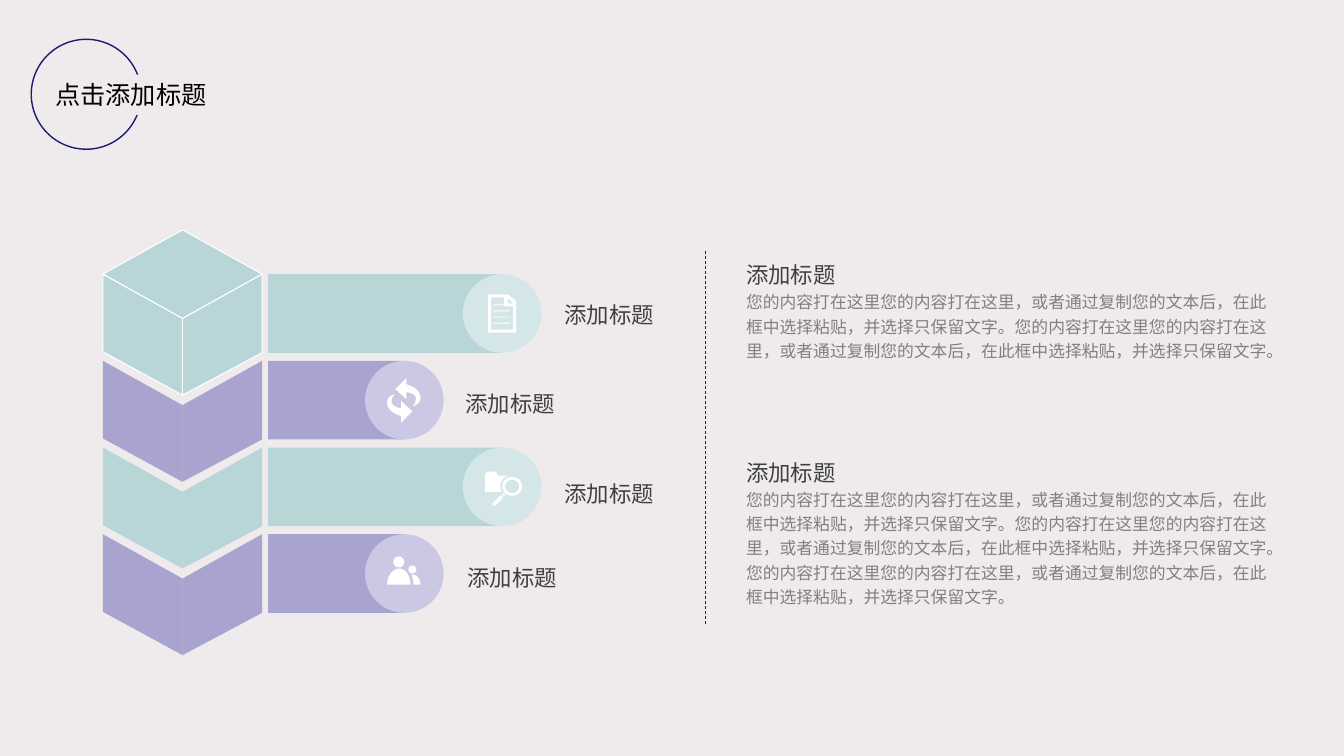
from dataclasses import dataclass

from lxml import etree
from pptx import Presentation
from pptx.dml.color import RGBColor
from pptx.enum.dml import MSO_LINE
from pptx.enum.shapes import MSO_CONNECTOR, MSO_SHAPE
from pptx.enum.text import MSO_ANCHOR, MSO_AUTO_SIZE, PP_ALIGN
from pptx.oxml.ns import qn
from pptx.util import Inches, Pt

STRAIGHT = MSO_CONNECTOR.STRAIGHT
DASH = MSO_LINE.DASH
RECTANGLE, OVAL, DONUT = MSO_SHAPE.RECTANGLE, MSO_SHAPE.OVAL, MSO_SHAPE.DONUT
TOP, MIDDLE = MSO_ANCHOR.TOP, MSO_ANCHOR.MIDDLE
LEFT = PP_ALIGN.LEFT
FIT_SHAPE = MSO_AUTO_SIZE.SHAPE_TO_FIT_TEXT

HEADING = "添加标题"
SENTENCE = "您的内容打在这里您的内容打在这里，或者通过复制您的文本后，在此框中选择粘贴，并选择只保留文字。"


@dataclass(frozen=True)
class Theme:
    """Colours and type sizes of the slide."""
    font: str = "Noto Sans CJK SC"
    background: str = "EFEBEC"
    ring: str = "1C1C73"
    title: str = "000000"
    heading: str = "404040"
    body: str = "808080"
    divider: str = "20202E"
    white: str = "FFFFFF"
    teal: str = "B8D5D7"
    teal_light: str = "D4E6E7"
    purple: str = "A9A3D0"
    purple_light: str = "CBC8E3"
    title_size: int = 18
    heading_size: int = 16
    body_size: int = 12


def cubic(start, curve, steps=10):
    """Return points along a cubic curve after its start."""
    (x0, y0), (x1, y1, x2, y2, x3, y3) = start, curve
    points = []
    for step in range(1, steps + 1):
        t = step / steps
        weights = ((1 - t) ** 3, 3 * t * (1 - t) ** 2, 3 * t * t * (1 - t), t ** 3)
        points.append((sum(w * x for w, x in zip(weights, (x0, x1, x2, x3))),
                       sum(w * y for w, y in zip(weights, (y0, y1, y2, y3)))))
    return points


def flatten(contour):
    """Turn a contour of points and cubic curves into plain points."""
    points = []
    for item in contour:
        points.extend([item] if len(item) == 2 else cubic(points[-1], item))
    return points


class SlideBuilder:
    """Draw styled elements on the current slide."""

    def __init__(self, slide, theme):
        self.slide = slide
        self.theme = theme
        self.slide.background.fill.solid()
        self.slide.background.fill.fore_color.rgb = RGBColor.from_string(theme.background)

    def paint(self, shape, fill=None, line=None, width=0.75):
        """Set the fill and outline of a shape."""
        shape.shadow.inherit = False
        for target, color in ((shape.fill, fill), (shape.line.fill, line)):
            if color:
                target.solid()
                target.fore_color.rgb = RGBColor.from_string(color)
            else:
                target.background()
        if line:
            shape.line.width = Pt(width)
        return shape

    def shape(self, kind, box, **paint):
        """Add a preset shape."""
        shape = self.slide.shapes.add_shape(kind, *map(Inches, box))
        return self.paint(shape, **paint)

    def outline(self, *contours, **paint):
        """Add a freeform made of closed contours."""
        contours = [[(Inches(x), Inches(y)) for x, y in flatten(contour)] for contour in contours]
        builder = self.slide.shapes.build_freeform(*contours[0][0], scale=1.0)
        for index, points in enumerate(contours):
            if index:
                builder.move_to(*points[0])
            builder.add_line_segments(points[1:], close=True)
        return self.paint(builder.convert_to_shape(), **paint)

    def fill_text(self, shape, lines, spacing=1.2, **frame_format):
        """Fill a shape with (text, size, color) paragraphs."""
        frame = shape.text_frame
        frame_format = {"word_wrap": False, "auto_size": FIT_SHAPE,
                        "vertical_anchor": TOP, **frame_format}
        for name, value in frame_format.items():
            setattr(frame, name, value)
        for index, (text, size, color) in enumerate(lines):
            paragraph = frame.add_paragraph() if index else frame.paragraphs[0]
            paragraph.line_spacing = spacing
            paragraph.alignment = LEFT
            run = paragraph.add_run()
            run.text = text
            for name, value in {"name": self.theme.font, "size": Pt(size)}.items():
                setattr(run.font, name, value)
            run.font.color.rgb = RGBColor.from_string(color)
            properties = run._r.get_or_add_rPr()
            etree.SubElement(properties, qn("a:ea")).set("typeface", self.theme.font)

    def text(self, box, lines, **frame_format):
        """Add a text box."""
        self.fill_text(self.slide.shapes.add_textbox(*map(Inches, box)), lines, **frame_format)

    def divider(self, start, end):
        """Add a dashed line."""
        line = self.slide.shapes.add_connector(STRAIGHT, *map(Inches, (*start, *end)))
        line.line.color.rgb = RGBColor.from_string(self.theme.divider)
        line.line.width = Pt(0.5)
        line.line.dash_style = DASH
        etree.SubElement(line._element.spPr, qn("a:effectLst"))

    def cube_faces(self, top, color, line=None):
        """Add the left and right faces of one cube layer."""
        for edge, drop in ((1.02, 0.77), (2.6, 0.78)):
            self.outline([(edge, top), (edge, top + drop), (1.81, top + 1.2),
                          (1.81, top + 0.44)], fill=color, line=line)

    def bar(self, top, disc_left, color, light):
        """Add a bar that ends in a disc."""
        size = 0.78
        self.shape(RECTANGLE, (2.66, top, disc_left + size / 2 - 2.66, size), fill=color)
        self.shape(OVAL, (disc_left, top, size, size), fill=light)

    def document_icon(self):
        """Add the page with text lines."""
        white = self.theme.white
        self.outline([(5.12, 2.99), (5.04, 2.92), (4.84, 2.92), (4.84, 3.3), (5.12, 3.3)],
                     [(5.09, 3.01), (5.04, 3.01), (5.04, 2.96)],
                     [(5.09, 3.27), (4.87, 3.27), (4.87, 2.95), (5, 2.95), (5, 3.04), (5.09, 3.04)],
                     fill=white)
        for row in range(4):
            self.shape(RECTANGLE, (4.89, 3.02 + row * 0.06, 0.17, 0.01), fill=white)

    def refresh_icon(self):
        """Add two arrows, the second turned half round."""
        arrow = flatten([(4.05, 3.82), (4.03, 3.81), (4.03, 3.75), (3.92, 3.86), (4.03, 3.96),
                         (4.03, 3.89), (4.11, 3.9, 4.14, 3.94, 4.12, 3.98),
                         (4.12, 4, 4.11, 4.01, 4.09, 4.03), (4.13, 4.02, 4.16, 4, 4.17, 3.96),
                         (4.18, 3.91, 4.13, 3.84, 4.05, 3.82)])
        for points in (arrow, [(8.01 - x, 7.94 - y) for x, y in arrow]):
            self.outline(points, fill=self.theme.white)

    def search_icon(self):
        """Add the folder and magnifier."""
        white = self.theme.white
        self.outline([(5, 4.74), (5.01, 4.73, 5.02, 4.73, 5.04, 4.72), (4.94, 4.72), (4.92, 4.68),
                      (4.86, 4.68), (4.83, 4.68, 4.81, 4.69, 4.81, 4.73), (4.81, 4.88),
                      (4.98, 4.88), (4.95, 4.83, 4.96, 4.78, 5, 4.74)], fill=white)
        lens = self.shape(DONUT, (4.98, 4.73, 0.2, 0.19), fill=white)
        lens.adjustments[0] = 0.15
        self.outline([(5, 4.9), (5, 4.89, 4.99, 4.89, 4.98, 4.9), (5, 4.93),
                      (5.01, 4.92, 5.01, 4.91, 5, 4.9)],
                     [(4.89, 4.99), (4.88, 4.99, 4.88, 5.01, 4.89, 5.01),
                      (4.9, 5.02, 4.91, 5.02, 4.92, 5.01), (4.99, 4.94), (4.97, 4.91)], fill=white)

    def people_icon(self):
        """Add two people."""
        white = self.theme.white
        self.outline([(3.96, 5.64), (3.9, 5.64, 3.84, 5.71, 3.84, 5.79), (3.84, 5.8), (4.07, 5.8),
                      (4.07, 5.79), (4.07, 5.71, 4.02, 5.64, 3.96, 5.64)], fill=white)
        self.outline([(4.09, 5.7), (4.08, 5.7), (4.09, 5.72, 4.1, 5.76, 4.1, 5.79), (4.1, 5.8),
                      (4.17, 5.8), (4.17, 5.74, 4.13, 5.7, 4.09, 5.7)], fill=white)
        for left, top, size in ((3.9, 5.52, 0.11), (4.05, 5.61, 0.08)):
            self.shape(OVAL, (left, top, size, size), fill=white)


def main():
    """Build and save the slide."""
    presentation = Presentation()
    presentation.slide_width, presentation.slide_height = Inches(13.33), Inches(7.5)
    theme = Theme()
    builder = SlideBuilder(presentation.slides.add_slide(presentation.slide_layouts[6]), theme)

    builder.shape(OVAL, (0.31, 0.39, 1.09, 1.09), line=theme.ring, width=1)
    title = builder.shape(RECTANGLE, (0.45, 0.74, 1.72, 0.4), fill=theme.background)
    builder.fill_text(title, [("点击添加标题", theme.title_size, theme.title)],
                      spacing=1.0, vertical_anchor=MIDDLE)

    first_top, pitch = 2.72, 0.86
    builder.outline([(1.02, 2.72), (1.81, 3.16), (2.6, 2.72), (1.81, 2.28)],
                    fill=theme.teal, line=theme.white)
    teal, purple = (theme.teal, theme.teal_light), (theme.purple, theme.purple_light)
    heading = (HEADING, theme.heading_size, theme.heading)
    layers = ((4.59, teal, builder.document_icon, (5.5, 2.89)),
              (3.62, purple, builder.refresh_icon, (4.52, 3.77)),
              (4.59, teal, builder.search_icon, (5.5, 4.66)),
              (3.62, purple, builder.people_icon, (4.54, 5.49)))
    for index, (disc_left, colors, draw_icon, label) in enumerate(layers):
        top = first_top + index * pitch
        builder.cube_faces(top, colors[0], line=None if index else theme.white)
        builder.bar(top, disc_left, *colors)
        draw_icon()
        builder.text((*label, 1.1, 0.4), [heading])

    for top, height, repeats in ((2.49, 1.37, 2), (4.45, 2.1, 3)):
        builder.text((7.4, top, 5.35, height),
                     [heading, (SENTENCE * repeats, theme.body_size, theme.body)],
                     word_wrap=True, margin_left=0)
    builder.divider((7, 2.49), (7, 6.2))
    presentation.save("out.pptx")


if __name__ == "__main__":
    main()
